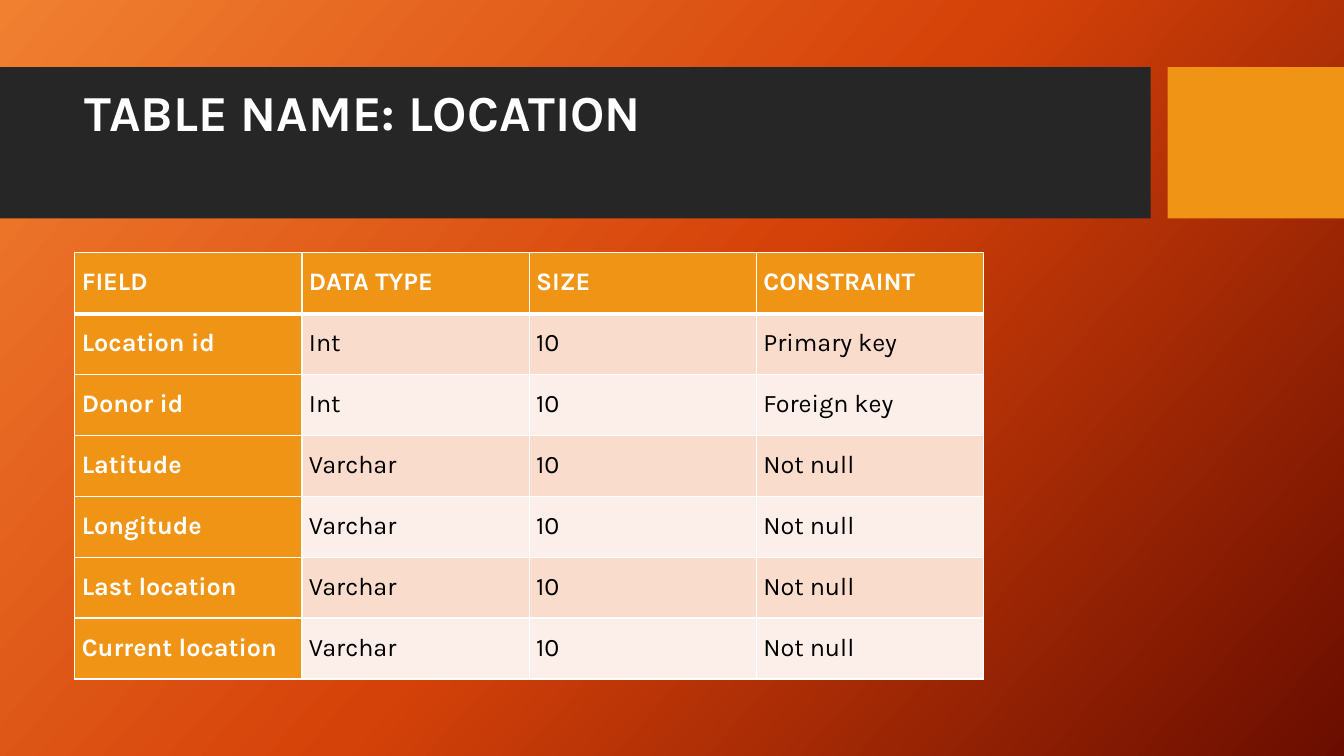
from copy import deepcopy

from lxml.etree import SubElement
from pptx import Presentation
from pptx.dml.color import RGBColor as RGB
from pptx.enum.shapes import MSO_SHAPE as SHAPE
from pptx.enum.text import MSO_ANCHOR as ANCHOR
from pptx.oxml.ns import qn
from pptx.util import Inches, Pt

COLORS = {
    "band": "262626", "accent": "F09415", "white": "FFFFFF", "black": "000000",
    "row_odd": "F9DCCC", "row_even": "FCEEE8",
}
BACKDROP = [(0, "F18031"), (0.5, "D54209"), (1, "6A0D00")]
FONT = "Karla"
UNIT = Inches(1 / 12)  # the slide is a grid of 160 columns by 90 rows
MARGIN = 8.9
COL_WIDTH, ROW_HEIGHT = 27.05, 7.25

FIELDS = [
    ("FIELD", "DATA TYPE", "SIZE", "CONSTRAINT"),
    ("Location id", "Int", "10", "Primary key"),
    ("Donor id", "Int", "10", "Foreign key"),
    ("Latitude", "Varchar", "10", "Not null"),
    ("Longitude", "Varchar", "10", "Not null"),
    ("Last location", "Varchar", "10", "Not null"),
    ("Current location", "Varchar", "10", "Not null"),
]


def grid(*units):
    return [round(u * UNIT) for u in units]


def color(name):
    return RGB.from_string(COLORS[name])


def set_backdrop(s):
    fill = s.background.fill
    fill.gradient()
    fill.gradient_angle = 360 - 42
    stops = s.element.find(".//" + qn("a:gsLst"))
    stops.append(deepcopy(stops[-1]))
    for stop, (position, value) in zip(fill.gradient_stops, BACKDROP):
        stop.position = position
        stop.color.rgb = RGB.from_string(value)


def add_bar(s, box, fill):
    sp = s.shapes.add_shape(SHAPE.RECTANGLE, *grid(*box))
    sp.shadow.inherit = False
    sp.fill.solid()
    sp.fill.fore_color.rgb = color(fill)
    sp.line.fill.background()


def write(tf, text, size, ink, bold, spacing):
    p = tf.paragraphs[0]
    p.line_spacing = spacing
    r = p.add_run()
    r.text = text
    for name, value in {"name": FONT, "size": Pt(size), "bold": bold}.items():
        setattr(r.font, name, value)
    r.font.color.rgb = color(ink)


def add_title(s, box, text):
    tf = s.shapes.add_textbox(*grid(*box)).text_frame
    tf.word_wrap = True
    tf.vertical_anchor = ANCHOR.TOP
    write(tf, text, 36, "white", True, 0.9)


def add_borders(cell, widths):
    """Draw white borders; widths maps a side (L, R, T, B) to points."""
    props = cell._tc.get_or_add_tcPr()
    for side, width in widths.items():
        line = SubElement(props, qn(f"a:ln{side}"), w=str(Pt(width)))
        fill = SubElement(line, qn("a:solidFill"))
        SubElement(fill, qn("a:srgbClr"), val=COLORS["white"])


def format_cell(cell, text, row, col):
    heading = row == 0 or col == 0
    insets = {"margin_left": Inches(0.07), "margin_right": Inches(0.07),
              "margin_top": 0, "margin_bottom": 0}
    for name, value in insets.items():
        setattr(cell, name, value)
    add_borders(cell, {"L": 1, "R": 1, "T": 3 if row == 1 else 1,
                       "B": 3 if row == 0 else 1})
    cell.fill.solid()
    band = "row_odd" if row % 2 else "row_even"
    cell.fill.fore_color.rgb = color("accent" if heading else band)
    write(cell.text_frame, text, 18, "white" if heading else "black", heading, 1.5)


def add_field_table(s, left, top, rows):
    n_rows, n_cols = len(rows), len(rows[0])
    box = grid(left, top, COL_WIDTH * n_cols, ROW_HEIGHT * n_rows)
    table = s.shapes.add_table(n_rows, n_cols, *box).table
    table.first_col = True
    for i, values in enumerate(rows):
        for j, text in enumerate(values):
            format_cell(table.cell(i, j), text, i, j)


def main():
    prs = Presentation()
    prs.slide_width, prs.slide_height = grid(160, 90)
    s = prs.slides.add_slide(prs.slide_layouts[6])
    set_backdrop(s)
    add_bar(s, (0, 8, 137, 18), "band")
    add_bar(s, (139, 8, 21, 18), "accent")
    add_title(s, (MARGIN, 9.85, 126, 14.15), "TABLE NAME: LOCATION")
    add_field_table(s, MARGIN, 30.1, FIELDS)
    prs.save("out.pptx")


if __name__ == "__main__":
    main()
